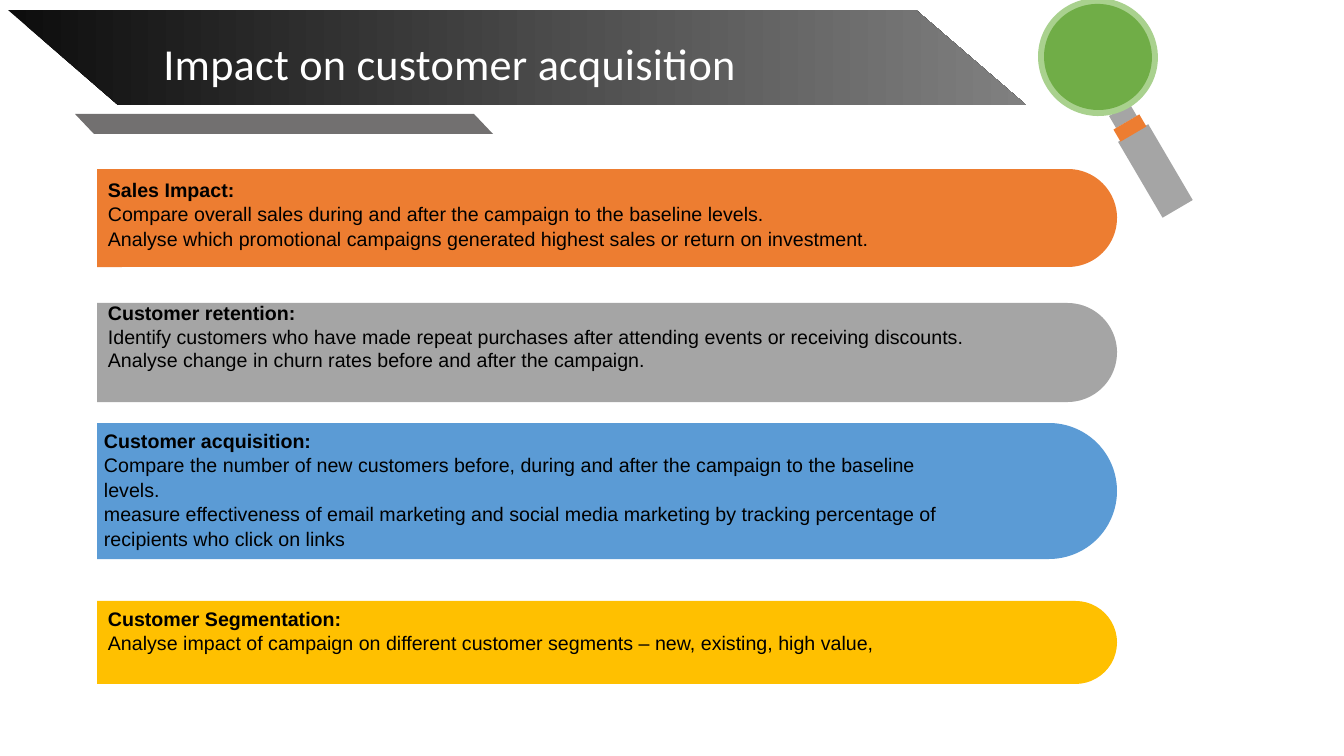
from pptx import Presentation
from pptx.dml.color import RGBColor
from pptx.enum.shapes import MSO_SHAPE
from pptx.enum.text import MSO_ANCHOR, MSO_AUTO_SIZE, PP_ALIGN
from pptx.util import Pt

PX = 914400 / 100.8
WHITE = RGBColor(0xFF, 0xFF, 0xFF)
BLACK = RGBColor(0x00, 0x00, 0x00)
NEAR_BLACK = RGBColor(0x0D, 0x0D, 0x0D)
MID_GRAY = RGBColor(0x80, 0x80, 0x80)
DARK_GRAY = RGBColor(0x72, 0x70, 0x70)
GRAY = RGBColor(0xA5, 0xA5, 0xA5)
ORANGE = RGBColor(0xED, 0x7D, 0x31)
GOLD = RGBColor(0xFF, 0xC0, 0x00)
BLUE = RGBColor(0x5B, 0x9B, 0xD5)
GREEN = RGBColor(0x70, 0xAD, 0x47)
LIGHT_GREEN = RGBColor(0xA9, 0xD1, 0x8E)

# Content: lengths in px
TITLE = "Impact on customer acquisition"
TITLE_BOX = (108, 28, 684, 58)
BANNER = [(916, 10), (8, 10), (118, 105), (1026, 105)]
UNDERLINE = [(474, 114), (75, 114), (94, 134), (493, 134)]

BAND_LEFT, BAND_WIDTH = 97, 1020
# band top, band height, colour, text box, line spacing, heading, lines
BANDS = [
    (169, 98, ORANGE, (98, 172, 929, 83), 1.04, "Sales Impact:", [
        "Compare overall sales during and after the campaign to the baseline levels.",
        "Analyse which promotional campaigns generated highest sales or return on investment."]),
    (303, 99, GRAY, (98, 296, 969, 82), 1.0, "Customer retention:", [
        "Identify customers who have made repeat purchases after attending events or receiving discounts.",
        "Analyse change in churn rates before and after the campaign."]),
    (423, 136, BLUE, (94, 423, 864, 156), 1.04, "Customer acquisition:", [
        "Compare the number of new customers before, during and after the campaign to the baseline levels.",
        "measure effectiveness of email marketing and social media marketing by tracking "
        "percentage of recipients who click on links"]),
    (601, 83, GOLD, (98, 601, 860, 57), 1.04, "Customer Segmentation:", [
        "Analyse impact of campaign on different customer segments – new, existing, high value,"]),
]

HANDLE_TILT, LENS_TILT = 329.6, 12.2
MAGNIFIER = [
    (MSO_SHAPE.RECTANGLE, (1138, 127, 35, 88), HANDLE_TILT, GRAY),
    (MSO_SHAPE.RECTANGLE, (1111, 109, 24, 14), HANDLE_TILT, GRAY),
    (MSO_SHAPE.RECTANGLE, (1115, 121, 30, 14), HANDLE_TILT, ORANGE),
    (MSO_SHAPE.OVAL, (1038, -2, 120, 118), LENS_TILT, LIGHT_GREEN),
    (MSO_SHAPE.OVAL, (1044, 4, 108, 106), LENS_TILT, GREEN),
]


def emu(lengths):
    return [round(length * PX) for length in lengths]


def add_solid(slide, kind, box, tilt, colour):
    solid = slide.shapes.add_shape(kind, *emu(box))
    solid.rotation = tilt
    solid.shadow.inherit = False
    solid.fill.solid()
    solid.fill.fore_color.rgb = colour
    solid.line.fill.background()
    return solid


def add_outline(slide, points):
    builder = slide.shapes.build_freeform(*points[0], scale=PX)
    builder.add_line_segments(points[1:], close=True)
    outline = builder.convert_to_shape()
    outline.shadow.inherit = False
    outline.line.fill.background()
    return outline


def add_band(slide, top, height, colour):
    # A quarter turn puts the two rounded corners on the right
    left = BAND_LEFT + (BAND_WIDTH - height) / 2
    turned_top = top + (height - BAND_WIDTH) / 2
    band = add_solid(slide, MSO_SHAPE.ROUND_2_SAME_RECTANGLE,
                     (left, turned_top, height, BAND_WIDTH), 90, colour)
    band.adjustments[0] = 0.5
    band.adjustments[1] = 0


def add_band_text(slide, box, spacing, heading, lines):
    frame = slide.shapes.add_textbox(*emu(box)).text_frame
    frame.word_wrap = True
    frame.text = "\n".join([heading] + lines)
    for index, paragraph in enumerate(frame.paragraphs):
        paragraph.line_spacing = spacing
        for run in paragraph.runs:
            run.font.name = "Arial"
            run.font.size = Pt(14)
            run.font.bold = index == 0
            run.font.color.rgb = BLACK


def format_title(title):
    title.left, title.top, title.width, title.height = emu(TITLE_BOX)
    frame = title.text_frame
    frame.text = TITLE
    frame.auto_size = MSO_AUTO_SIZE.NONE
    frame.word_wrap = True
    frame.vertical_anchor = MSO_ANCHOR.TOP
    frame.margin_left = frame.margin_top = frame.margin_right = frame.margin_bottom = 0
    paragraph = frame.paragraphs[0]
    paragraph.alignment = PP_ALIGN.CENTER
    paragraph.line_spacing = Pt(43.7)
    paragraph.space_before = Pt(0)
    font = paragraph.runs[0].font
    font.name = "Calibri"
    font.size = Pt(31.6)
    font.color.rgb = WHITE
    paragraph.runs[0].font._element.set("spc", "20")


def main():
    prs = Presentation()
    prs.slide_width, prs.slide_height = emu((1344, 756))
    slide = prs.slides.add_slide(prs.slide_layouts[5])

    # Title on its banner
    banner = add_outline(slide, BANNER)
    banner.fill.gradient()
    banner.fill.gradient_angle = 0
    for stop, position, colour in zip(banner.fill.gradient_stops, (0, 1), (NEAR_BLACK, MID_GRAY)):
        stop.position = position
        stop.color.rgb = colour
    format_title(slide.shapes.title)
    banner.element.addnext(slide.shapes.title.element)

    underline = add_outline(slide, UNDERLINE)
    underline.fill.solid()
    underline.fill.fore_color.rgb = DARK_GRAY

    # Bands with their text
    for top, height, colour, box, spacing, heading, lines in BANDS:
        add_band(slide, top, height, colour)
        add_band_text(slide, box, spacing, heading, lines)

    # Magnifying glass
    for part in MAGNIFIER:
        add_solid(slide, *part)

    prs.save("out.pptx")


if __name__ == "__main__":
    main()
